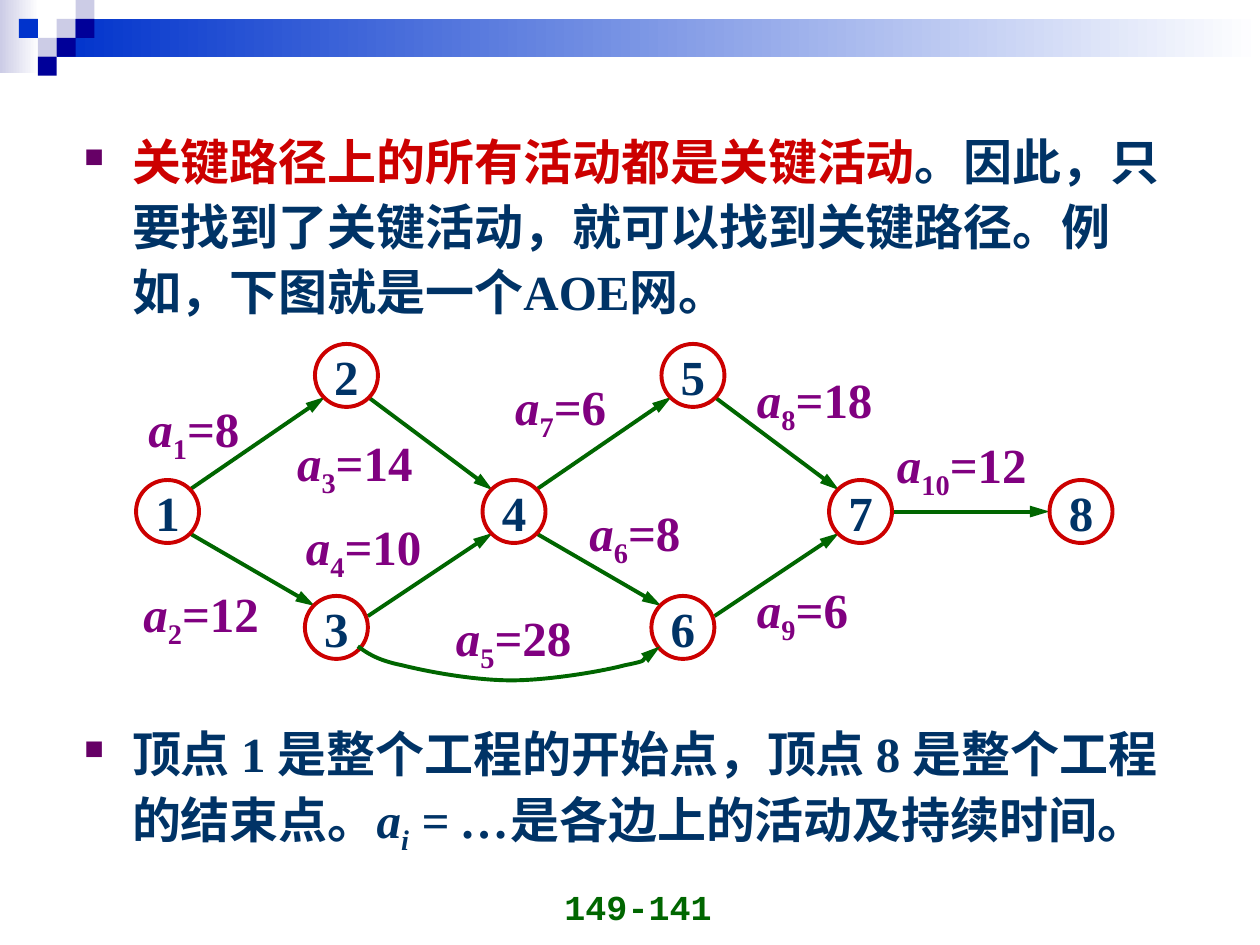
from lxml import etree
from pptx import Presentation
from pptx import util as u
from pptx.dml import color
from pptx.enum import shapes, text
from pptx.oxml import ns

SERIF = "Times New Roman"
NAVY, RED, GREEN, PLUM = "003366", "CC0000", "006600", "800080"
SIZE = 0.5
NODES = {1: (0, 1.08), 2: (1.42, 0), 3: (1.34, 2), 4: (2.75, 1.08),
         5: (4.17, 0), 6: (4.09, 2), 7: (5.5, 1.08), 8: (7.25, 1.08)}
EDGES = [(1, 2), (1, 3), (2, 4), (3, 4), (4, 5), (4, 6), (5, 7), (6, 7), (7, 8)]
LABELS = [(1, 8, 0, 0.38), (2, 12, -0.04, 1.85), (3, 14, 1.18, 0.65),
          (4, 10, 1.25, 1.32), (5, 28, 2.44, 2.04), (6, 8, 3.5, 1.21),
          (7, 6, 2.91, 0.21), (8, 18, 4.83, 0.15), (9, 6, 4.83, 1.82),
          (10, 12, 5.94, 0.67)]
CURVE = [(1.76, 2.4), (1.83, 2.45), (1.91, 2.51), (2.11, 2.55),
         (2.31, 2.6), (2.68, 2.67), (2.98, 2.67),
         (3.27, 2.67), (3.69, 2.6), (3.88, 2.55),
         (4.08, 2.51), (4.11, 2.42), (4.16, 2.4)]
MOSAIC = [(3, 1, "CCCCE6"), (4, 0, "CCCCE6"), (4, 1, "000099"), (2, 2, "CCCCE6"),
          (1, 1, "0033CC"), (3, 2, "000099"), (2, 3, "000099")]


def rgb(code):
    """Turn a hex string into a colour."""
    return color.RGBColor.from_string(code)


def place(*nums):
    """Turn numbers into inches."""
    return [u.Inches(n) for n in nums]


def style(font, size, code, name=SERIF):
    """Set a bold font."""
    font.size, font.name, font.bold = u.Pt(size), name, True
    font.color.rgb = rgb(code)


def label(slide, box, wrap=True):
    """Add a text box and return its frame."""
    frame = slide.shapes.add_textbox(*place(*box)).text_frame
    frame.word_wrap = wrap
    return frame


def shape(slide, kind, box):
    """Add a preset shape without shadow."""
    item = slide.shapes.add_shape(kind, *place(*box))
    item.shadow.inherit = False
    return item


def arrow(item):
    """Give a line its colour, width and arrowhead."""
    item.line.color.rgb = rgb(GREEN)
    item.line.width = u.Pt(2.25)
    ln = item.line._get_or_add_ln()
    etree.SubElement(ln, ns.qn("a:tailEnd"), type="triangle", len="lg")


def fade(slide, box, code):
    """Add a bar that fades to white."""
    bar = shape(slide, shapes.MSO_SHAPE.RECTANGLE, box)
    bar.line.fill.background()
    bar.fill.gradient()
    bar.fill.gradient_angle = 0
    for stop, tone in zip(bar.fill.gradient_stops, (code, "FFFFFF")):
        stop.color.rgb = rgb(tone)


def banner(slide, x, y):
    """Draw the bars and the mosaic at the top."""
    step = 0.15
    fade(slide, (x, y, 0.31, 0.58), "CCCCE6")
    fade(slide, (x + 3 * step, y + step, 9.55, 2 * step), "0033CC")
    for col, row, code in MOSAIC:
        cell = shape(slide, shapes.MSO_SHAPE.RECTANGLE,
                     (x + col * step, y + row * step, step, step))
        cell.fill.solid()
        cell.fill.fore_color.rgb = rgb(code)
        cell.line.fill.background()


def bullet(slide, box, parts):
    """Write one bulleted paragraph from (text, colour, italic, drop) parts."""
    para = label(slide, box).paragraphs[0]
    para.line_spacing = 1.1
    props = para._p.get_or_add_pPr()
    props.set("marL", str(u.Inches(0.38)))
    props.set("indent", str(u.Inches(-0.38)))
    props.set("hangingPunct", "0")
    tint = etree.SubElement(props, ns.qn("a:buClr"))
    etree.SubElement(tint, ns.qn("a:srgbClr"), val="660066")
    etree.SubElement(props, ns.qn("a:buSzPct"), val="55000")
    etree.SubElement(props, ns.qn("a:buChar"), char="■")
    style(para.font, 28, NAVY)
    for words, code, slant, drop in parts:
        run = para.add_run()
        run.text = words
        style(run.font, 28, code)
        run.font.italic = slant
        if drop:
            run.font._element.set("baseline", "-25000")


def edge(slide, x, y, start, end):
    """Draw the arrow from one node's rim to another's."""
    (ax, ay), (bx, by) = NODES[start], NODES[end]
    half, diag = SIZE / 2, 0.17
    turn = (by > ay) - (by < ay)
    out = (diag, diag * turn) if turn else (half, 0)
    into = (-out[0], -out[1])
    if start in (3, 6):
        out = (half, -0.09)
    line = slide.shapes.add_connector(
        shapes.MSO_CONNECTOR.STRAIGHT,
        *place(x + ax + half + out[0], y + ay + half + out[1],
               x + bx + half + into[0], y + by + half + into[1]))
    arrow(line)
    etree.SubElement(line._element.spPr, ns.qn("a:effectLst"))


def node(slide, x, y, num):
    """Draw one numbered circle."""
    disc = shape(slide, shapes.MSO_SHAPE.OVAL, (x, y, SIZE, SIZE))
    disc.fill.solid()
    disc.fill.fore_color.rgb = rgb("FFFFFF")
    disc.line.color.rgb = rgb(RED)
    disc.line.width = u.Pt(2.25)
    frame = disc.text_frame
    frame.word_wrap = False
    frame.vertical_anchor = text.MSO_ANCHOR.MIDDLE
    para = frame.paragraphs[0]
    para.text = str(num)
    para.alignment = text.PP_ALIGN.CENTER
    style(para.font, 28, NAVY)


def task(slide, x, y, num, days):
    """Write an activity with its duration."""
    wide = 0.94 + 0.22 * (days > 9) + 0.12 * (num > 9)
    frame = label(slide, (x, y, wide, 0.63), False)
    frame.auto_size = text.MSO_AUTO_SIZE.SHAPE_TO_FIT_TEXT
    para = frame.paragraphs[0]
    style(para.font, 28, PLUM)
    name, sub, rest = [para.add_run() for _ in range(3)]
    name.text, sub.text, rest.text = "a", str(num), f"={days}"
    name.font.italic = True
    sub.font._element.set("baseline", "-25000")


def curve(slide, x, y):
    """Draw the bent arrow, each three points making one Bezier piece."""
    dots = [place(x + dx, y + dy) for dx, dy in CURVE]
    pen = slide.shapes.build_freeform(*dots[0])
    pen.add_line_segments(dots[1:], close=False)
    bend = pen.convert_to_shape()
    bend.shadow.inherit = False
    bend.fill.background()
    arrow(bend)
    legs = list(bend._element.iter(ns.qn("a:lnTo")))
    for first, *rest in zip(legs[::3], legs[1::3], legs[2::3]):
        piece = etree.Element(ns.qn("a:cubicBezTo"))
        first.addprevious(piece)
        for leg in (first, *rest):
            piece.append(leg[0])
            leg.getparent().remove(leg)


def graph(slide, x, y):
    """Draw the network of activities."""
    for start, end in EDGES:
        edge(slide, x, y, start, end)
    for num, (dx, dy) in NODES.items():
        node(slide, x + dx, y + dy, num)
    for num, days, dx, dy in LABELS:
        task(slide, x + dx, y + dy, num, days)
    curve(slide, x, y)


def footer(slide, box):
    """Write the page number."""
    frame = label(slide, box)
    frame.vertical_anchor = text.MSO_ANCHOR.BOTTOM
    para = frame.paragraphs[0]
    para.text = "149-141"
    para.alignment = text.PP_ALIGN.CENTER
    style(para.font, 20, GREEN, "Courier New")


def main():
    """Build the deck."""
    deck = Presentation()
    deck.slide_width, deck.slide_height = place(10, 7.5)
    slide = deck.slides.add_slide(deck.slide_layouts[6])
    banner(slide, 0, 0)
    footer(slide, (3.9, 6.91, 2.33, 0.5))
    bullet(slide, (0.57, 0.95, 9, 1.7), [
        ("关键路径上的所有活动都是关键活动", RED, False, False),
        ("。因此，只要找到了关键活动，就可以找到关键路径。例如，下图就是一个AOE网。",
         NAVY, False, False)])
    bullet(slide, (0.57, 5.65, 9, 1.7), [
        ("顶点 1 是整个工程的开始点，顶点 8 是整个工程的结束点。", NAVY, False, False),
        ("a", NAVY, True, False), ("i", NAVY, True, True),
        (" = …", NAVY, True, False),
        ("是各边上的活动及持续时间。", NAVY, False, False)])
    graph(slide, 1.08, 2.73)
    deck.save("out.pptx")


if __name__ == "__main__":
    main()
